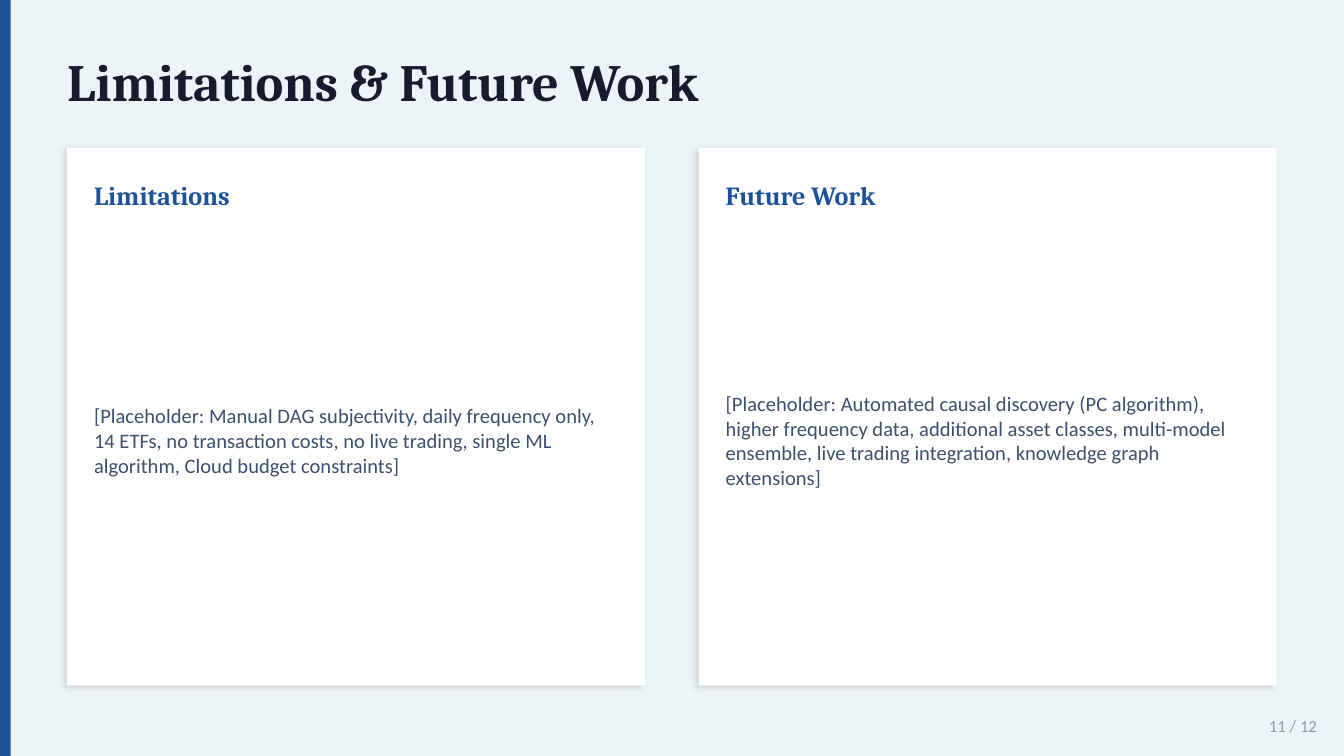
from lxml import etree
from pptx import Presentation
from pptx.dml.color import RGBColor
from pptx.enum.shapes import MSO_SHAPE
from pptx.enum.text import MSO_ANCHOR, MSO_AUTO_SIZE, PP_ALIGN
from pptx.oxml.ns import qn
from pptx.util import Inches, Pt

SLIDE_WIDTH = 10
SLIDE_HEIGHT = SLIDE_WIDTH * 9 / 16
COLORS = {
    "background": "EDF4F7",
    "accent": "1B5299",
    "title": "1A1A2E",
    "card": "FFFFFF",
    "body": "3D4F6F",
    "page": "8A9BB0",
    "shadow": "000000",
}
CARDS = [
    ("Limitations",
     "[Placeholder: Manual DAG subjectivity, daily frequency only, 14 ETFs, "
     "no transaction costs, no live trading, single ML algorithm, "
     "Cloud budget constraints]"),
    ("Future Work",
     "[Placeholder: Automated causal discovery (PC algorithm), higher frequency "
     "data, additional asset classes, multi-model ensemble, live trading "
     "integration, knowledge graph extensions]"),
]


def add_rectangle(left, top, width, height, color):
    shape = slide.shapes.add_shape(
        MSO_SHAPE.RECTANGLE, Inches(left), Inches(top), Inches(width), Inches(height))
    shape.fill.solid()
    shape.fill.fore_color.rgb = RGBColor.from_string(COLORS[color])
    shape.line.fill.background()
    shape.shadow.inherit = False
    return shape


def write_text(box, box_area, text, size, font_name, color, bold=False, align=PP_ALIGN.LEFT):
    """Place a text box or placeholder and fill it with one formatted paragraph."""
    box.left, box.top, box.width, box.height = [Inches(length) for length in box_area]
    frame = box.text_frame
    frame.text = text
    frame.word_wrap = True
    frame.auto_size = MSO_AUTO_SIZE.NONE
    frame.vertical_anchor = MSO_ANCHOR.MIDDLE
    frame.margin_left = frame.margin_top = frame.margin_right = frame.margin_bottom = 0
    paragraph = frame.paragraphs[0]
    paragraph.alignment = align
    font = paragraph.runs[0].font
    font.size, font.name, font.bold = Pt(size), font_name, bold
    font.color.rgb = RGBColor.from_string(COLORS[color])


presentation = Presentation()
presentation.slide_width = Inches(SLIDE_WIDTH)
presentation.slide_height = Inches(SLIDE_HEIGHT)
slide = presentation.slides.add_slide(presentation.slide_layouts[5])
slide.background.fill.solid()
slide.background.fill.fore_color.rgb = RGBColor.from_string(COLORS["background"])

add_rectangle(0, 0, 0.08, SLIDE_HEIGHT, "accent")
write_text(slide.shapes.title, (0.5, 0.3, 9, 0.6), "Limitations & Future Work",
           28, "Cambria", "title", bold=True)

for index, (heading, body) in enumerate(CARDS):
    left = 0.5 + index * 4.7
    card = add_rectangle(left, 1.1, 4.3, 4, "card")
    effects = card._element.spPr.find(qn("a:effectLst"))
    shadow = etree.SubElement(
        effects, qn("a:outerShdw"), blurRad=str(Pt(4)), dist=str(Pt(2)),
        dir=str(135 * 60000), algn="bl", rotWithShape="0")
    shadow_color = etree.SubElement(shadow, qn("a:srgbClr"), val=COLORS["shadow"])
    etree.SubElement(shadow_color, qn("a:alpha"), val="12000")

    write_text(slide.shapes.add_textbox(0, 0, 0, 0), (left + 0.2, 1.25, 3.9, 0.4),
               heading, 14, "Cambria", "accent", bold=True)
    write_text(slide.shapes.add_textbox(0, 0, 0, 0), (left + 0.2, 1.65, 3.9, 3.25),
               body, 11, "Calibri", "body")

write_text(slide.shapes.add_textbox(0, 0, 0, 0), (9, 5.25, 0.8, 0.3),
           "11 / 12", 9, "Calibri", "page", align=PP_ALIGN.RIGHT)

presentation.save("out.pptx")
